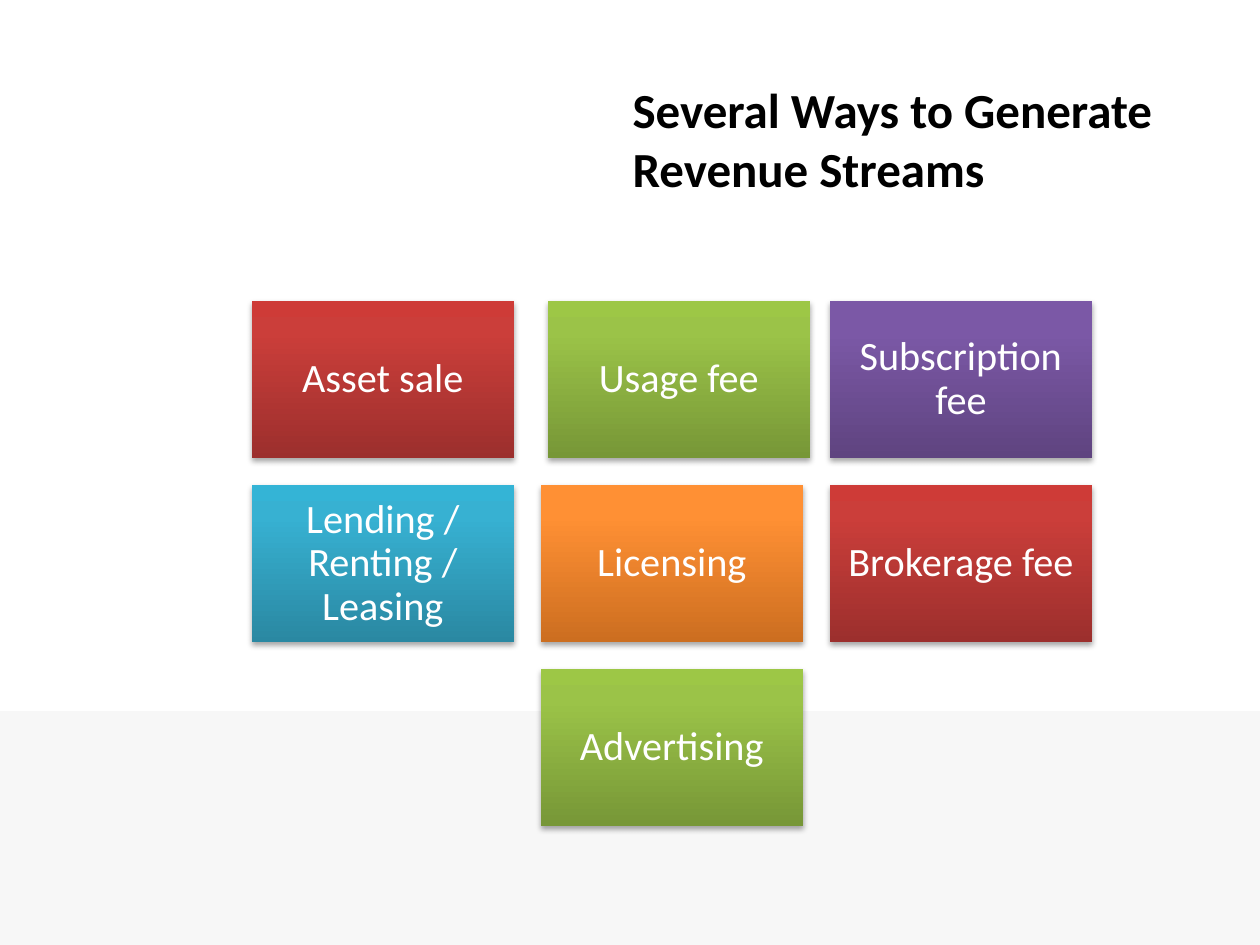
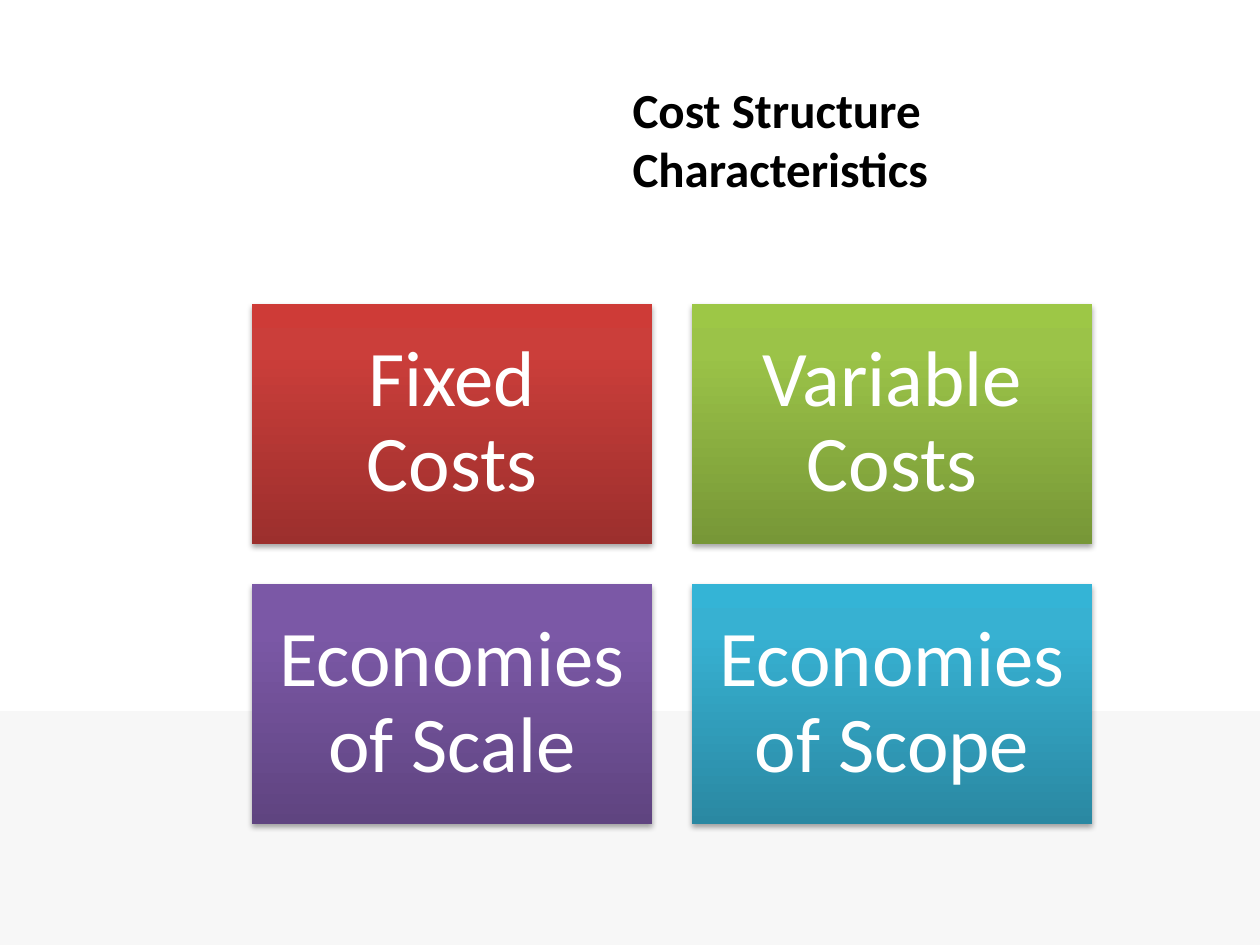
from dataclasses import dataclass
from itertools import cycle

from pptx import Presentation
from pptx.dml.color import RGBColor
from pptx.enum.shapes import MSO_SHAPE
from pptx.enum.text import MSO_ANCHOR, MSO_AUTO_SIZE, PP_ALIGN
from pptx.oxml import parse_xml
from pptx.oxml.ns import nsdecls
from pptx.util import Emu, Pt

# Lengths are in px; nudge shifts a box sideways from its grid place.
SLIDES = [
    dict(
        title="Several Ways to Generate Revenue Streams", width=557,
        rows=[["Asset sale", "Usage fee", "Subscription fee"],
              ["Lending / Renting / Leasing", "Licensing", "Brokerage fee"],
              ["Advertising"]],
        top=301, box=(262, 157), gap=27, inset=13, size=23,
        nudge={"Usage fee": 7},
    ),
    dict(
        title="Cost Structure Characteristics", width=514,
        rows=[["Fixed Costs", "Variable Costs"],
              ["Economies of Scale", "Economies of Scope"]],
        top=304, box=(400, 240), gap=40, inset=24, size=45,
        nudge={},
    ),
]


@dataclass(frozen=True)
class Theme:
    font: str = "Calibri"
    title: int = 28
    ink: str = "000000"
    paper: str = "FFFFFF"
    band: str = "F7F7F7"
    # Each gradient runs from the bottom edge up: 0, 80 and 100 percent
    fills: tuple = (
        ("9C2F2D", "CB3E3A", "CE3B37"),
        ("779737", "9BC348", "9DC746"),
        ("5F4480", "7B58A6", "7C57A8"),
        ("2A88A2", "37B1D2", "34B4D6"),
        ("CC6E20", "FF9034", "FF9136"),
    )


THEME = Theme()
WIDE, HIGH = 1260, 945
BAND_TOP = 711
TITLE_X, TITLE_Y, TITLE_H = 620, 73, 131
MID = 672  # centre line of every row of boxes


def px(n):
    return Emu(round(n * 914400 / 126))


def place(shape, *rect):
    shape.left, shape.top, shape.width, shape.height = map(px, rect)


def style(para, size, color, bold=False):
    for run in para.runs:
        font = run.font
        font.name, font.size, font.bold = THEME.font, Pt(size), bold
        font.color.rgb = RGBColor.from_string(color)


def shade(shape, colors):
    """Give the shape an upward gradient, no line and a soft shadow."""
    stops = "".join(
        f'<a:gs pos="{pos}000"><a:srgbClr val="{color}"/></a:gs>'
        for pos, color in zip((0, 80, 100), colors))
    props = shape.element.spPr
    props.append(parse_xml(
        f'<a:gradFill {nsdecls("a")} rotWithShape="1"><a:gsLst>{stops}</a:gsLst>'
        '<a:lin ang="16200000" scaled="0"/></a:gradFill>'))
    shape.line.fill.background()
    props.append(parse_xml(
        f'<a:effectLst {nsdecls("a")}><a:outerShdw blurRad="40000" dist="23000" '
        'dir="5400000" rotWithShape="0"><a:srgbClr val="000000">'
        '<a:alpha val="35000"/></a:srgbClr></a:outerShdw></a:effectLst>'))


def add_band(slide):
    """Draw the grey foot band and move it into the layout, at the back."""
    band = slide.shapes.add_shape(
        MSO_SHAPE.RECTANGLE, 0, px(BAND_TOP), px(WIDE), px(HIGH - BAND_TOP))
    band.shadow.inherit = False
    band.fill.solid()
    band.fill.fore_color.rgb = RGBColor.from_string(THEME.band)
    band.line.fill.background()
    band.element.nvSpPr.cNvPr.set("id", "99")
    slide.slide_layout.shapes.element.insert(2, band.element)


def add_title(slide, text, width):
    title = slide.shapes.title
    place(title, TITLE_X, TITLE_Y, width, TITLE_H)
    frame = title.text_frame
    frame.text = text
    frame.auto_size = MSO_AUTO_SIZE.NONE
    frame.vertical_anchor = MSO_ANCHOR.TOP
    para = frame.paragraphs[0]
    para.alignment = PP_ALIGN.LEFT
    style(para, THEME.title, THEME.ink, bold=True)


def add_box(slide, text, rect, colors, inset, size):
    box = slide.shapes.add_shape(MSO_SHAPE.RECTANGLE, *map(px, rect))
    shade(box, colors)
    frame = box.text_frame
    frame.text = text
    frame.word_wrap = True
    frame.vertical_anchor = MSO_ANCHOR.MIDDLE
    frame.margin_left = frame.margin_right = px(inset)
    frame.margin_top = frame.margin_bottom = px(inset)
    para = frame.paragraphs[0]
    para.alignment = PP_ALIGN.CENTER
    para.line_spacing = 0.9
    style(para, size, THEME.paper)


def add_grid(slide, data):
    """Lay out the rows of boxes, each row centred, colours in turn."""
    wide, high = data["box"]
    gap = data["gap"]
    fills = cycle(THEME.fills)
    for i, row in enumerate(data["rows"]):
        left = MID - (len(row) * (wide + gap) - gap) / 2
        top = data["top"] + i * (high + gap)
        for j, text in enumerate(row):
            x = left + j * (wide + gap) + data["nudge"].get(text, 0)
            add_box(slide, text, (x, top, wide, high), next(fills),
                    data["inset"], data["size"])


def main():
    deck = Presentation()
    deck.slide_width, deck.slide_height = px(WIDE), px(HIGH)
    layout = deck.slide_layouts.get_by_name("Title Only")
    for i, data in enumerate(SLIDES):
        slide = deck.slides.add_slide(layout)
        if i == 0:
            add_band(slide)
        add_title(slide, data["title"], data["width"])
        add_grid(slide, data)
    deck.save("out.pptx")


if __name__ == "__main__":
    main()
